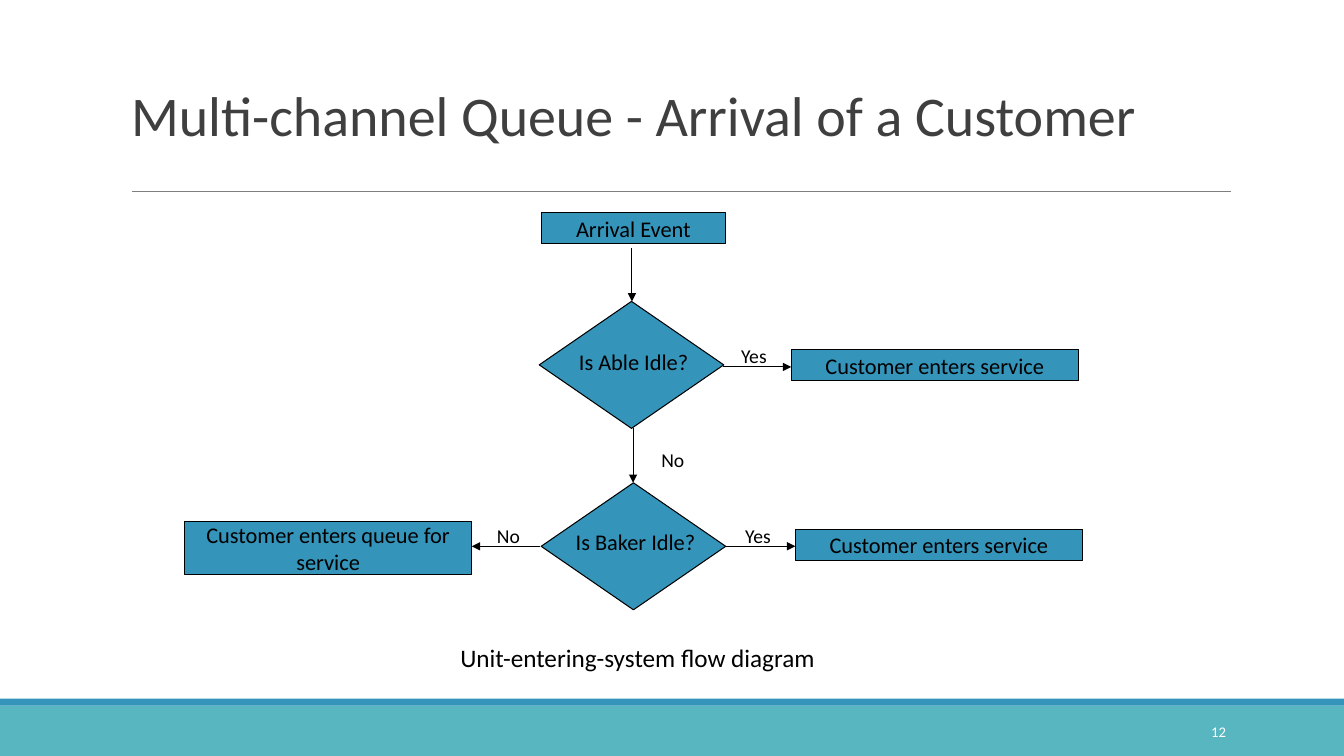
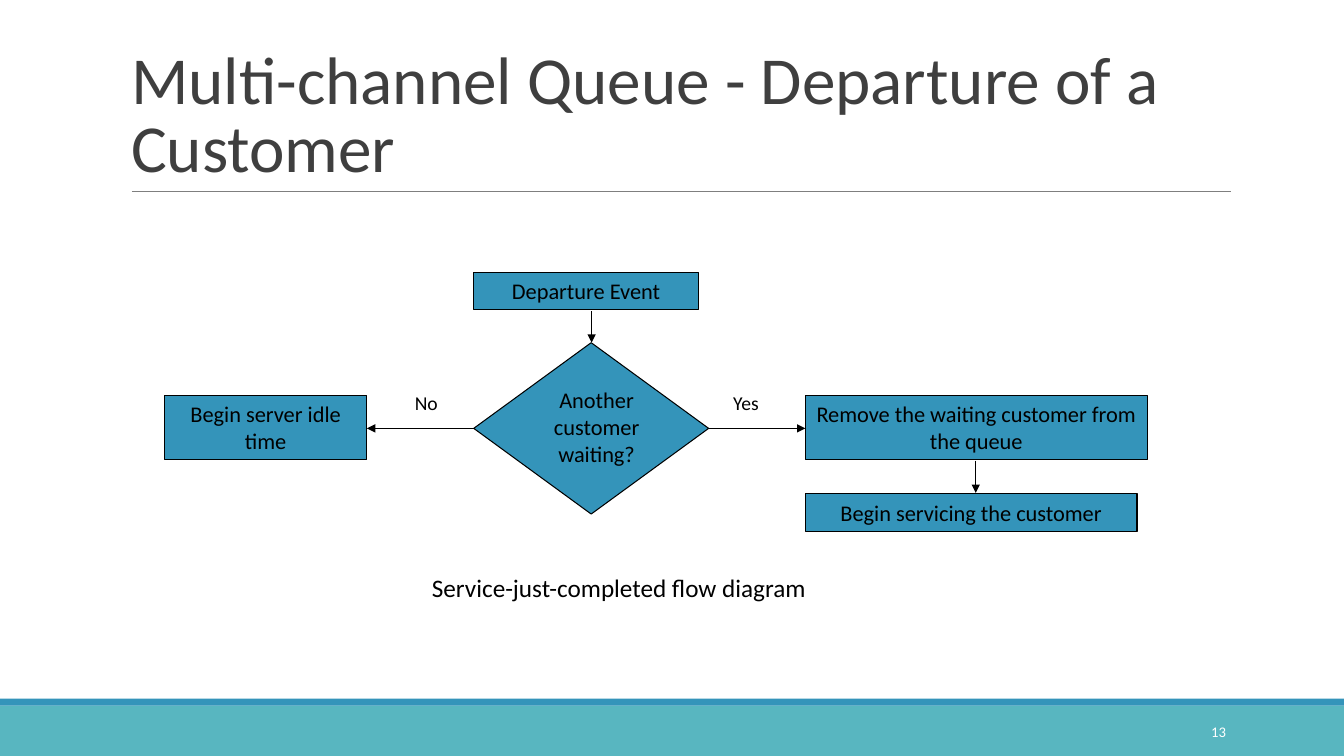
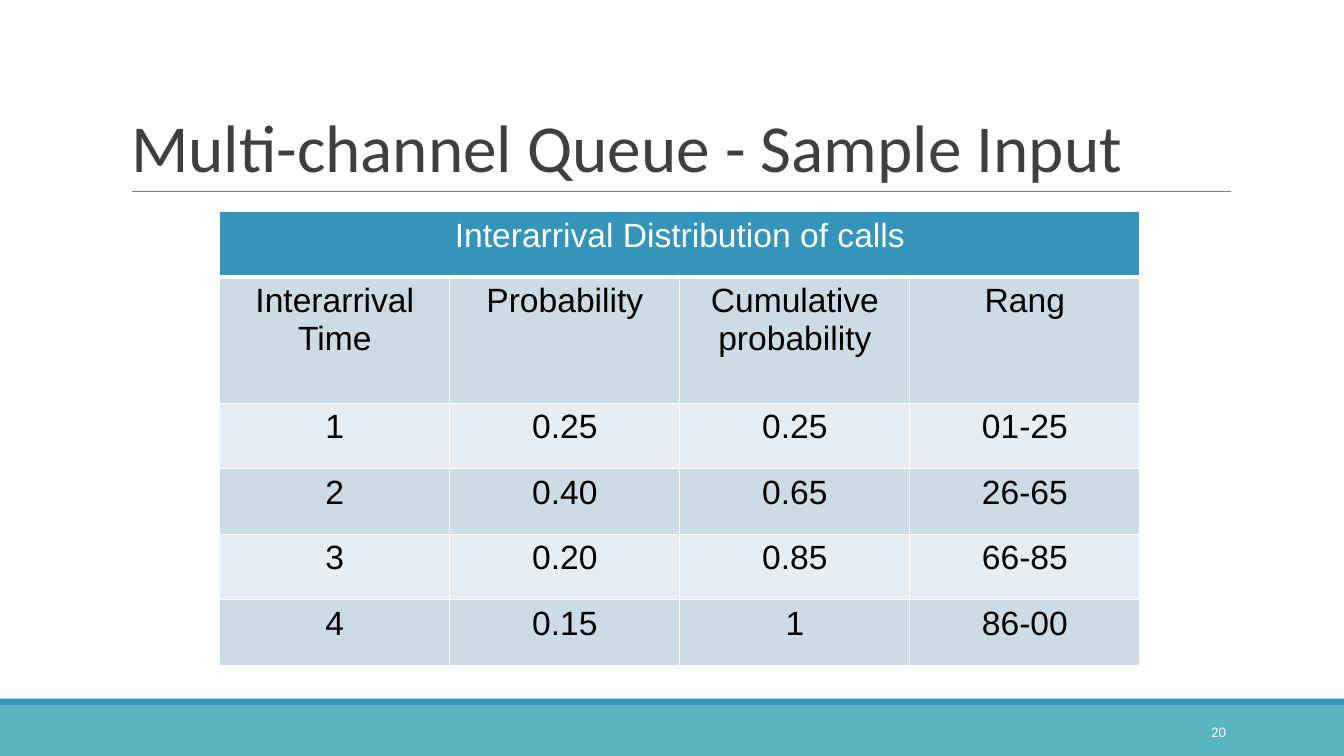
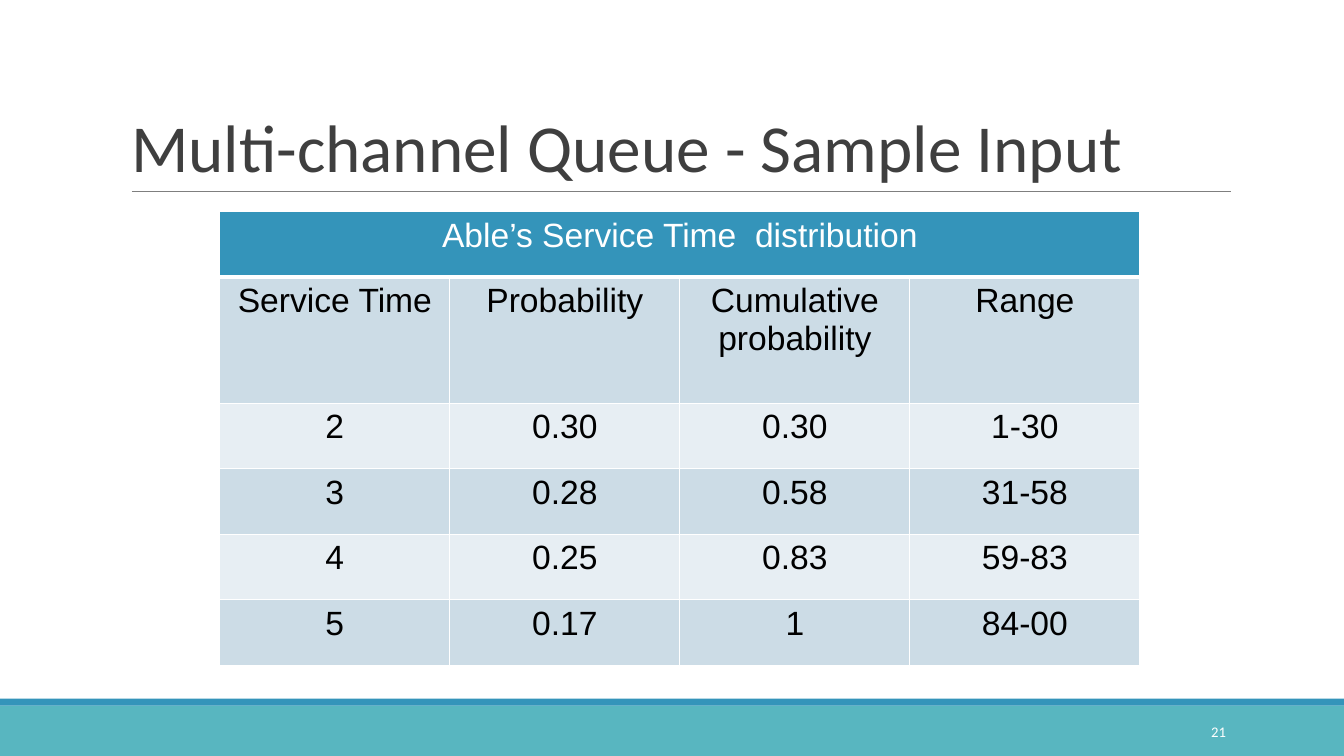
from lxml import etree
from pptx import Presentation
from pptx.dml.color import RGBColor
from pptx.enum import shapes, text
from pptx.oxml import ns
from pptx.util import Pt

TEAL = RGBColor(0x58, 0xB6, 0xC0)
BLUE = RGBColor(0x34, 0x94, 0xBA)
PALE_BLUE = RGBColor(0xCC, 0xDC, 0xE6)
PALER_BLUE = RGBColor(0xE7, 0xEE, 0xF3)
DARK_GREY = RGBColor(0x3F, 0x3F, 0x3F)
GREY = RGBColor(0x7F, 0x7F, 0x7F)
BLACK = RGBColor(0, 0, 0)
WHITE = RGBColor(0xFF, 0xFF, 0xFF)

RECTANGLE = shapes.MSO_SHAPE.RECTANGLE
DECISION = shapes.MSO_SHAPE.FLOWCHART_DECISION
LEFT, CENTER, RIGHT = text.PP_ALIGN.LEFT, text.PP_ALIGN.CENTER, text.PP_ALIGN.RIGHT
TOP, MIDDLE = text.MSO_ANCHOR.TOP, text.MSO_ANCHOR.MIDDLE


def write(frame, wording, size, color, align=CENTER, anchor=MIDDLE, font="Calibri"):
    frame.text = wording
    frame.word_wrap = True
    frame.vertical_anchor = anchor
    paragraph = frame.paragraphs[0]
    paragraph.alignment = align
    for run in paragraph.runs:
        run.font.name = font
        run.font.size = Pt(size)
        run.font.bold = False
        run.font.color.rgb = color


def add_line(slide, ends, color, arrow=False):
    line = slide.shapes.add_connector(shapes.MSO_CONNECTOR.STRAIGHT, *map(Pt, ends))
    line.line.color.rgb = color
    line.line.width = Pt(0.75)
    if arrow:
        etree.SubElement(line.line._get_or_add_ln(), ns.qn("a:tailEnd"), type="triangle")
    etree.SubElement(line._element.spPr, ns.qn("a:effectLst"))
    return line


presentation = Presentation()
presentation.slide_width, presentation.slide_height = Pt(960), Pt(540)
layout = presentation.slide_layouts[5]

# Titles: wording, size, height, slide number
titles = [
    ("Multi-channel Queue - Arrival of a Customer", 40, 87.1, "12"),
    ("Multi-channel Queue - Departure of a Customer", 48, 114.5, "13"),
    ("Multi-channel Queue - Sample Input", 48, 114.5, "20"),
    ("Multi-channel Queue - Sample Input", 48, 114.5, "21"),
]
for wording, size, height, number in titles:
    slide = presentation.slides.add_slide(layout)
    title = slide.shapes.title
    title.left, title.top, title.width, title.height = map(Pt, (86.4, 22.3, 792, height))
    write(title.text_frame, wording, size, DARK_GREY, LEFT, text.MSO_ANCHOR.BOTTOM)
    title.text_frame.auto_size = text.MSO_AUTO_SIZE.NONE
    title.text_frame.paragraphs[0].line_spacing = 0.85
    number_box = slide.shapes.add_textbox(*map(Pt, (779.8, 508.3, 103, 28.8)))
    write(number_box.text_frame, number, 10.5, WHITE, RIGHT)

arrival, departure, interarrival, service = presentation.slides

# Footer bands and title rule, moved to the shared layout
furniture = [add_line(arrival, (94.3, 136.8, 879.1, 136.8), GREY)]
for top, height, color in [(504, 36, TEAL), (499, 5, BLUE)]:
    band = arrival.shapes.add_shape(RECTANGLE, 0, Pt(top), Pt(960), Pt(height))
    band.shadow.inherit = False
    band.fill.solid()
    band.fill.fore_color.rgb = color
    band.line.fill.background()
    furniture.append(band)
for item in furniture:
    layout.shapes._spTree.append(item._element)

# Flow diagrams: boxes, decisions, labels as (left, top, width, height, wording)
diagrams = [
    {
        "slide": arrival,
        "boxes": [
            (386.6, 151.9, 131.8, 22.3, "Arrival Event"),
            (565.2, 249.8, 205.2, 22.3, "Customer enters service"),
            (568.1, 378, 205.2, 22.3, "Customer enters service"),
            (131.8, 372.2, 205.2, 38.2, "Customer enters queue for service"),
        ],
        "decisions": [(385.2, 215.3, 131.8, 90.7), (386.6, 344.9, 131.8, 90.7)],
        "questions": [
            (391, 247, 123.1, 22.3, "Is Able Idle?"),
            (392.4, 375.8, 123.1, 22.3, "Is Baker Idle?"),
        ],
        "answers": [
            (518.4, 241.9, 40.3, 20.2, "Yes"),
            (460.1, 316.1, 41, 20.2, "No"),
            (521.3, 370.8, 40.3, 20.2, "Yes"),
            (342.7, 370.8, 41, 20.2, "No"),
        ],
        "arrows": [
            (451.4, 177.1, 451.4, 215.3),
            (516.2, 262.1, 565.2, 262.1),
            (452.2, 306, 452.2, 344.9),
            (518.4, 390.2, 568.1, 390.2),
            (385.9, 390.2, 337, 390.2),
        ],
        "caption": (266.4, 455, 378, 23.8, "Unit-entering-system flow diagram"),
    },
    {
        "slide": departure,
        "boxes": [
            (338.4, 194.4, 160.6, 26.6, "Departure Event"),
            (575.3, 282.2, 244.1, 46.1, "Remove the waiting customer from the queue"),
            (575.3, 352.8, 236.9, 26.6, "Begin servicing the customer"),
            (117.4, 282.2, 144.7, 46.1, "Begin server idle time"),
        ],
        "decisions": [(338.4, 244.8, 167.8, 122.4)],
        "questions": [(361.4, 281.5, 129.6, 46.1, "Another customer waiting?")],
        "answers": [
            (506.2, 275.8, 53.3, 24.5, "Yes"),
            (277.9, 275.8, 53.3, 24.5, "No"),
        ],
        "arrows": [
            (422.6, 222.5, 422.6, 244.8),
            (338.4, 306, 262.1, 306),
            (506.2, 306, 575.3, 306),
            (697, 329, 697, 352.1),
        ],
        "caption": (201.6, 405.4, 481, 28.8, "Service-just-completed flow diagram"),
    },
]
for diagram in diagrams:
    slide = diagram["slide"]
    nodes = [(RECTANGLE, *box) for box in diagram["boxes"]]
    nodes += [(DECISION, *decision, "") for decision in diagram["decisions"]]
    for kind, *place, wording in nodes:
        node = slide.shapes.add_shape(kind, *map(Pt, place))
        node.shadow.inherit = False
        node.fill.solid()
        node.fill.fore_color.rgb = BLUE
        node.line.color.rgb = BLACK
        node.line.width = Pt(0.75)
        write(node.text_frame, wording, 16, BLACK)
    for ends in diagram["arrows"]:
        add_line(slide, ends, BLACK, arrow=True)
    labels = [(16, MIDDLE, *question) for question in diagram["questions"]]
    labels += [(14, TOP, *answer) for answer in diagram["answers"]]
    labels.append((18, TOP, *diagram["caption"]))
    for size, anchor, *place, wording in labels:
        label = slide.shapes.add_textbox(*map(Pt, place))
        write(label.text_frame, wording, size, BLACK, anchor=anchor)

# Distribution tables
distributions = [
    (interarrival, [
        ["Interarrival Distribution of calls", "", "", ""],
        ["Interarrival Time", "Probability", "Cumulative probability", "Rang"],
        ["1", "0.25", "0.25", "01-25"],
        ["2", "0.40", "0.65", "26-65"],
        ["3", "0.20", "0.85", "66-85"],
        ["4", "0.15", "1", "86-00"],
    ]),
    (service, [
        ["Able’s Service Time  distribution", "", "", ""],
        ["Service Time", "Probability", "Cumulative probability", "Range"],
        ["2", "0.30", "0.30", "1-30"],
        ["3", "0.28", "0.58", "31-58"],
        ["4", "0.25", "0.83", "59-83"],
        ["5", "0.17", "1", "84-00"],
    ]),
]
for slide, rows in distributions:
    table = slide.shapes.add_table(6, 4, *map(Pt, (157, 151.2, 657.2, 324))).table
    for column in table.columns:
        column.width = Pt(164.3)
    for row_index, wordings in enumerate(rows):
        table.rows[row_index].height = Pt(90 if row_index == 1 else 46.8)
        for column_index, wording in enumerate(wordings):
            cell = table.cell(row_index, column_index)
            write(cell.text_frame, wording, 24, BLACK if row_index else WHITE, font="Arial")
            cell.vertical_anchor = TOP
            cell.margin_left = cell.margin_right = Pt(7.2)
            cell.margin_top = cell.margin_bottom = Pt(3.6)
            # White borders, thicker under the heading
            properties = cell._tc.get_or_add_tcPr()
            for side in "LRTB":
                thick = (row_index, side) in [(0, "B"), (1, "T")]
                border = etree.SubElement(properties, ns.qn("a:ln" + side), w=str(Pt(3 if thick else 1)))
                fill = etree.SubElement(border, ns.qn("a:solidFill"))
                etree.SubElement(fill, ns.qn("a:srgbClr"), val=str(WHITE))
            cell.fill.solid()
            banding = PALE_BLUE if row_index % 2 else PALER_BLUE
            cell.fill.fore_color.rgb = banding if row_index else BLUE
    table.cell(0, 0).merge(table.cell(0, 3))

presentation.save("out.pptx")
